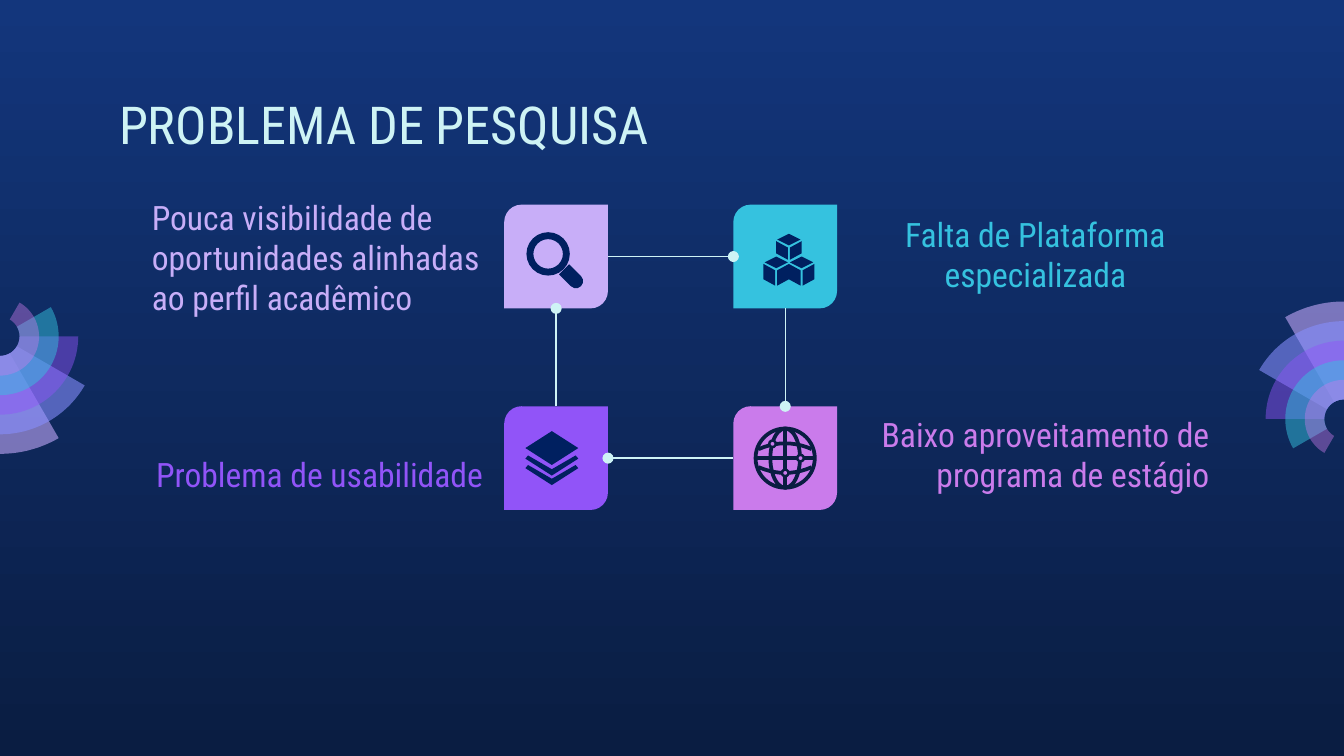
"""Build the research problem slide: four linked icon tiles with their labels."""
from math import cos, radians, sin

from lxml.etree import SubElement
from pptx import Presentation
from pptx.dml.color import RGBColor
from pptx.enum.shapes import MSO_CONNECTOR, MSO_SHAPE
from pptx.enum.text import MSO_ANCHOR, MSO_AUTO_SIZE, PP_ALIGN
from pptx.oxml.ns import qn
from pptx.util import Cm, Pt

TILE, OVAL, DONUT = MSO_SHAPE.ROUND_2_DIAG_RECTANGLE, MSO_SHAPE.OVAL, MSO_SHAPE.DONUT
GRIP = MSO_SHAPE.ROUND_2_SAME_RECTANGLE
LINE = MSO_CONNECTOR.STRAIGHT
TOP, BOTTOM = MSO_ANCHOR.TOP, MSO_ANCHOR.BOTTOM
LEFT, CENTER, RIGHT = PP_ALIGN.LEFT, PP_ALIGN.CENTER, PP_ALIGN.RIGHT
NO_FIT = MSO_AUTO_SIZE.NONE

FONT = "Roboto Condensed"
HUES = {
    "sky": "13367C", "night": "0A1D42", "navy": "002060", "pale": "CEF3F5",
    "lilac": "C8AEF8", "cyan": "35C2DF", "violet": "9154F8", "pink": "CA7BEB",
    "mauve": "C8ACFD", "blue": "878FFF",
}
TITLE = ("PROBLEMA DE PESQUISA", (2, 1.5, 21.4, 1.6))
# column, row, hue, text, box, alignment
ITEMS = [
    (0, 0, "lilac", "Pouca visibilidade de oportunidades alinhadas ao perfil acadêmico",
     (2.62, 3.28, 6.8, 2.97), LEFT),
    (1, 0, "cyan", "Falta de Plataforma especializada", (16.38, 3.76, 6.38, 2.06), CENTER),
    (0, 1, "violet", "Problema de usabilidade", (2.7, 8.28, 7.06, 1.32), LEFT),
    (1, 1, "pink", "Baixo aproveitamento de programa de estágio",
     (16.2, 7.54, 6.91, 2.06), RIGHT),
]
LINKS = [(2, 0, 0, 2), (0, 3, 1, 1), (1, 2, 3, 0), (3, 1, 2, 3)]
RINGS = [("mauve", 58), ("blue", 58), ("violet", 46), ("cyan", 49), ("pink", 42)]
FANS = [(25.4, 7.92, 180), (0, 6.36, 0)]
SIDE, LEFT_X, TOP_Y, STEP_X, STEP_Y = 1.96, 9.53, 3.87, 4.33, 3.81
BAND = 0.37


def tint(form, hue):
    form.solid()
    form.fore_color.rgb = RGBColor.from_string(HUES[hue])


def paint(shape, hue, edge=0):
    shape.shadow.inherit = False
    if edge:
        shape.fill.background()
        tint(shape.line.fill, hue)
        shape.line.width = Pt(edge)
    else:
        tint(shape.fill, hue)
        shape.line.fill.background()
    return shape


def trace(points, hue, mid=(0, 0), edge=0):
    spots = [(Cm(mid[0] + x), Cm(mid[1] + y)) for x, y in points]
    pen = shapes.build_freeform(*spots[0])
    pen.add_line_segments(spots[1:], close=not edge)
    return paint(pen.convert_to_shape(), hue, edge)


def place(kind, mid, dx, dy, wide, high, hue, edge=0):
    box = (mid[0] + dx - wide / 2, mid[1] + dy - high / 2, wide, high)
    return paint(shapes.add_shape(kind, *map(Cm, box)), hue, edge)


def write(shape, text, box, size, hue, align, anchor):
    shape.left, shape.top, shape.width, shape.height = map(Cm, box)
    frame = shape.text_frame
    frame.word_wrap, frame.auto_size = True, NO_FIT
    frame.vertical_anchor = anchor
    frame.margin_left = frame.margin_right = Cm(0.25)
    frame.margin_top = frame.margin_bottom = Cm(0.25)
    frame.text = text
    para = frame.paragraphs[0]
    para.alignment = align
    para.font.name, para.font.size = FONT, Pt(size)
    tint(para.font.fill, hue)


def draw_fan(x, y, turn):
    def arc(size, start, stop):
        turns = [radians(turn + start + (stop - start) * i / 30) for i in range(31)]
        return [(size * cos(a), size * sin(a)) for a in turns]

    for i, (hue, alpha) in enumerate(RINGS):
        end = 60 - 30 * i
        ring = trace(arc(BAND * (6 - i), end, 90) + arc(BAND, 90, end), hue, (x, y))
        color = ring._element.spPr.find(".//" + qn("a:srgbClr"))
        SubElement(color, qn("a:alpha"), val=str(alpha * 1000))


def draw_lens(mid):
    place(DONUT, mid, -0.15, -0.05, 0.82, 0.82, "navy").adjustments[0] = 0.16
    grip = place(GRIP, mid, 0.31, 0.4, 0.27, 0.45, "navy")
    grip.adjustments[0] = 0.5
    grip.rotation = 135


def draw_cubes(mid):
    for dx, dy, high in [(0, -0.43, 0.23), (-0.24, 0, 0.29), (0.24, 0, 0.29)]:
        peak = (mid[0] + 0.07 + dx, mid[1] + dy)
        trace([(0, 0), (0.22, 0.11), (0, 0.22), (-0.22, 0.11)], "navy", peak)
        for way in (-1, 1):
            face = [(0.24, 0.14), (0.02, 0.26), (0.02, 0.26 + high), (0.24, 0.14 + high)]
            trace([(way * x, y) for x, y in face], "navy", peak)


def draw_stack(mid):
    x, y = mid[0] - 0.08, mid[1]
    trace([(0, -0.51), (0.5, -0.19), (0, 0.13), (-0.5, -0.19)], "navy", (x, y))
    fold = [(-0.45, -0.05), (0, 0.21), (0.45, -0.05), (0.5, 0.01), (0, 0.33), (-0.5, 0.01)]
    for drop in (0, 0.18):
        trace(fold, "navy", (x, y + drop))


def draw_globe(mid):
    for wide in (1.12, 0.56):
        place(OVAL, mid, 0, 0, wide, 1.12, "night", 2)
    trace([(0, -0.56), (0, 0.56)], "night", mid, 2)
    trace([(-0.56, 0), (0.56, 0)], "night", mid, 2)
    for way in (-1, 1):
        bow = [(x / 10, way * (0.28 - 0.1 * (x / 4.8) ** 2)) for x in range(-5, 6)]
        trace(bow, "night", mid, 2)
    for dx, dy in [(-0.24, -0.27), (0.29, 0), (0, 0.28)]:
        place(OVAL, mid, dx, dy, 0.17, 0.17, "night")
        place(OVAL, mid, dx, dy, 0.07, 0.07, "pink")


deck = Presentation()
deck.slide_width, deck.slide_height = Cm(25.4), Cm(14.29)
slide = deck.slides.add_slide(deck.slide_layouts[5])
shapes = slide.shapes

back = slide.background.fill
back.gradient()
back.gradient_angle = 270
for stop, hue in zip(back.gradient_stops, ("sky", "night")):
    stop.color.rgb = RGBColor.from_string(HUES[hue])

for fan in FANS:
    draw_fan(*fan)
write(shapes.title, *TITLE, 28, "pale", LEFT, TOP)

tiles = []
icons = (draw_lens, draw_cubes, draw_stack, draw_globe)
for (col, row, hue, text, box, align), draw in zip(ITEMS, icons):
    mid = (LEFT_X + col * STEP_X + SIDE / 2, TOP_Y + row * STEP_Y + SIDE / 2)
    tiles.append(place(TILE, mid, 0, 0, SIDE, SIDE, hue))
    draw(mid)
    write(shapes.add_textbox(0, 0, 0, 0), text, box, 18, hue, align, BOTTOM)

for start, out, end, into in LINKS:
    link = shapes.add_connector(LINE, 0, 0, 0, 0)
    link.begin_connect(tiles[start], out)
    link.end_connect(tiles[end], into)
    tint(link.line.fill, "pale")
    link.line.width = Pt(0.75)
    SubElement(link.line._get_or_add_ln(), qn("a:tailEnd"), type="oval")
    SubElement(link._element.spPr, qn("a:effectLst"))

deck.save("out.pptx")
